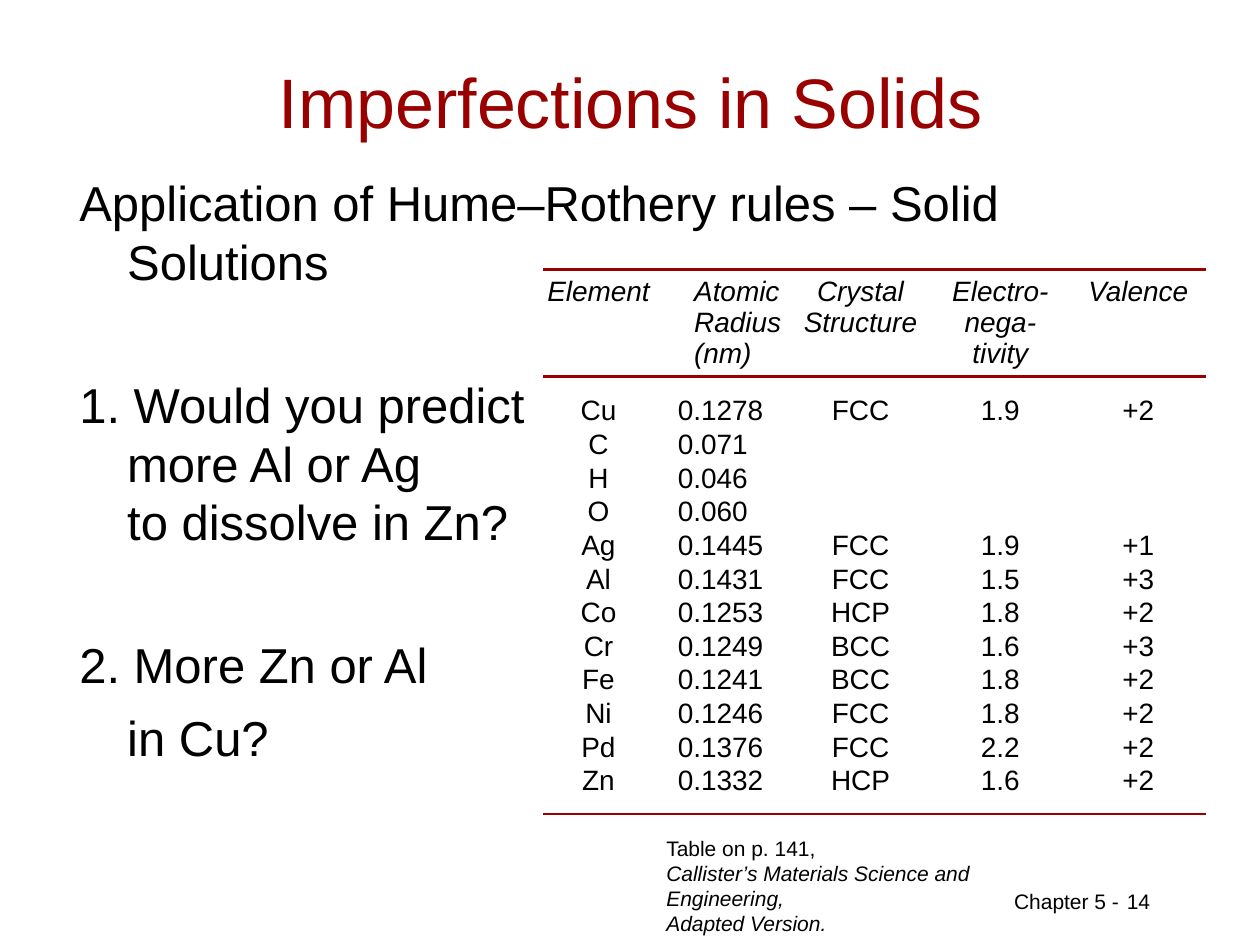
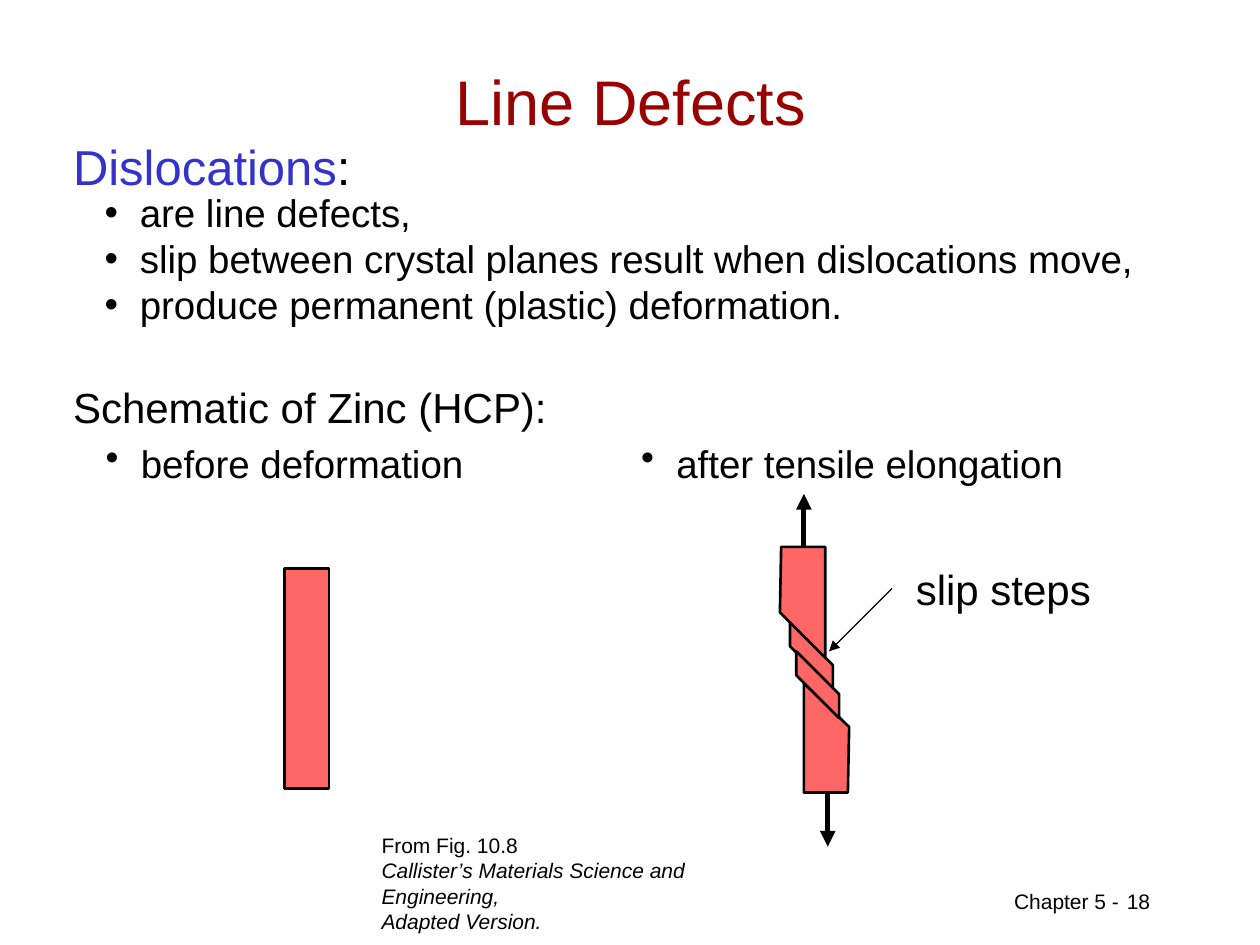
import pptx
import pptx.util
import pptx.dml.color
import pptx.enum.shapes
import pptx.enum.text
import pptx.oxml.ns
from lxml import etree

Pt = pptx.util.Pt
Align = pptx.enum.text.PP_ALIGN
Anchor = pptx.enum.text.MSO_ANCHOR
qn = pptx.oxml.ns.qn
FONT = "Arial"
HUES = {"ink": "000000", "red": "990000", "blue": "3333CC", "zinc": "FF6666"}
TINT = {name: pptx.dml.color.RGBColor.from_string(hue) for name, hue in HUES.items()}

deck = pptx.Presentation()
deck.slide_width = pptx.util.Inches(10)
deck.slide_height = pptx.util.Inches(7.5)
# The slide is a grid of 100 columns by 75 rows of square cells.
cell = deck.slide_width // 100


def write(shape, spot, text, size, hue="ink", inset=(1, 0.5), dot=False, align=Align.LEFT):
    """Place a shape on the grid, fill it with text and return its paragraphs."""
    shape.left, shape.top, shape.width, shape.height = [round(n * cell) for n in spot]
    frame = shape.text_frame
    frame.auto_size = pptx.enum.text.MSO_AUTO_SIZE.NONE
    frame.word_wrap = True
    frame.margin_left = frame.margin_right = round(inset[0] * cell)
    frame.margin_top = frame.margin_bottom = round(inset[1] * cell)
    frame.text = text
    for para in frame.paragraphs:
        para.alignment = align
        para.space_before = Pt(0)
        props = para._p.get_or_add_pPr()
        hang = round(2.8 * cell) if dot else 0
        props.set("marL", str(hang))
        props.set("indent", str(-hang))
        if dot:
            etree.SubElement(props, qn("a:buChar"), char="•")
        else:
            etree.SubElement(props, qn("a:buNone"))
        para.font.name, para.font.size = FONT, Pt(size)
        para.font.color.rgb = TINT[hue]
    return frame.paragraphs


def rule(page, ends, hue, width, arrow=False):
    """Draw a straight line between two grid points."""
    line = page.shapes.add_connector(
        pptx.enum.shapes.MSO_CONNECTOR.STRAIGHT, *[round(n * cell) for n in ends])
    line.line.color.rgb = TINT[hue]
    line.line.width = Pt(width)
    props = line._element.spPr
    if arrow:
        etree.SubElement(props.find(qn("a:ln")), qn("a:tailEnd"), type="triangle")
    etree.SubElement(props, qn("a:effectLst"))


# Parts that both slides share
pages = []
for title, size, number, source, spot in [
    ("Imperfections in Solids", 40, "14", "Table on p. 141,", (51.9, 65.8, 32, 9)),
    ("Line Defects", 36, "18", "From Fig. 10.8", (29.3, 65.6, 32, 9)),
]:
    page = deck.slides.add_slide(deck.slide_layouts[1])
    pages.append(page)
    write(page.shapes.title, (4.2, 4.2, 91.7, 7.5), title, size, "red", align=Align.CENTER)
    write(page.shapes.add_textbox(0, 0, 0, 0), (79.5, 70, 10.5, 3), "Chapter 5 -", 12)
    write(page.shapes.add_textbox(0, 0, 0, 0), (83.9, 70, 12.9, 3.9), number, 12,
          align=Align.CENTER)
    note = source + "\nCallister’s Materials Science and Engineering,\nAdapted Version."
    for para in write(page.shapes.add_textbox(0, 0, 0, 0), spot, note, 12)[1:]:
        para.font.italic = True

solids, lines = pages

# Slide 1: questions
asks = write(
    solids.placeholders[1], (5.3, 13.2, 87.3, 53.5),
    "Application of Hume–Rothery rules – Solid Solutions\n"
    "1. Would you predict\vmore Al or Ag\vto dissolve in Zn?\n"
    "2. More Zn or Al\nin Cu?", 28)
for para, gap, hang in zip(asks, (0, 48, 48, 8), (3.8, 3.8, 3.8, 0)):
    para.space_before = Pt(gap)
    props = para._p.get_or_add_pPr()
    props.set("marL", str(round(3.8 * cell)))
    props.set("indent", str(-round(hang * cell)))

# Slide 1: table of elements
rows = [
    ("Element", "Atomic\vRadius\v(nm)", "Crystal\vStructure", "Electro-\vnega-\vtivity", "Valence"),
    ("Cu", "0.1278", "FCC", "1.9", "+2"),
    ("C", "0.071", "", "", ""),
    ("H", "0.046", "", "", ""),
    ("O", "0.060", "", "", ""),
    ("Ag", "0.1445", "FCC", "1.9", "+1"),
    ("Al", "0.1431", "FCC", "1.5", "+3"),
    ("Co", "0.1253", "HCP", "1.8", "+2"),
    ("Cr", "0.1249", "BCC", "1.6", "+3"),
    ("Fe", "0.1241", "BCC", "1.8", "+2"),
    ("Ni", "0.1246", "FCC", "1.8", "+2"),
    ("Pd", "0.1376", "FCC", "2.2", "+2"),
    ("Zn", "0.1332", "HCP", "1.6", "+2"),
]
wide = (8.8, 10.9, 11, 11.2, 10.7)
left, top, head, step = 43.1, 21.4, 9.9, 2.67
grid = solids.shapes.add_table(
    len(rows), len(wide), round(left * cell), round(top * cell),
    round(sum(wide) * cell), round((head + step * 12) * cell)).table
grid.first_row = grid.horz_banding = False
for col, width in zip(grid.columns, wide):
    col.width = round(width * cell)
for i, row in enumerate(rows):
    grid.rows[i].height = round((step if i else head) * cell)
    for j, text in enumerate(row):
        box = grid.cell(i, j)
        box.fill.background()
        box.margin_left = box.margin_right = box.margin_top = box.margin_bottom = 0
        box.vertical_anchor = Anchor.MIDDLE
        if i == 0:
            box.margin_top = cell // 2
            box.vertical_anchor = Anchor.TOP
        if j == 1:
            box.margin_left = round((1.9 if i else 3.2) * cell)
        box.text = text
        para = box.text_frame.paragraphs[0]
        para.alignment = Align.LEFT if j == 1 else Align.CENTER
        para.font.name, para.font.size = FONT, Pt(16)
        para.font.italic = i == 0
        para.font.color.rgb = TINT["ink"]
for y in (top, 29.9, 64.6):
    rule(solids, (left, y, 95.7, y), "red", 1.5)

# Slide 2: text
write(lines.placeholders[1], (8.3, 15, 85.8, 11.5),
      "are line defects,\n"
      "slip between crystal planes result when dislocations move,\n"
      "produce permanent (plastic) deformation.", 22, inset=(0, 0), dot=True)
lead = write(lines.shapes.add_textbox(0, 0, 0, 0), (5.8, 10.8, 40, 4.7),
             "Dislocations", 28, inset=(0, 0))[0]
lead.runs[0].font.color.rgb = TINT["blue"]
lead.add_run().text = ":"
write(lines.shapes.add_textbox(0, 0, 0, 0), (5.8, 30.3, 50.8, 4),
      "Schematic of Zinc (HCP):", 24, inset=(0, 0))
for x, text in ((7.4, "before deformation"), (49.9, "after tensile elongation")):
    write(lines.shapes.add_textbox(0, 0, 0, 0), (x, 34.4, 40, 4.7), text, 22, dot=True)
write(lines.shapes.add_textbox(0, 0, 0, 0), (71.7, 44.2, 18, 5), "slip steps", 24)

# Slide 2: zinc bar before and after the pull
for shape in [
    [(22.6, 45.1), (22.6, 62.6), (26.1, 62.6), (26.1, 45.1)],
    [(62.7, 49.3), (62.7, 51.3), (66.1, 54.7), (66.1, 52.8)],
    [(67.3, 62.9), (63.8, 62.9), (63.8, 54.2), (67.4, 57.7)],
    [(62, 43.4), (65.5, 43.4), (65.5, 52.2), (61.9, 48.6)],
    [(63.2, 51.7), (63.2, 53.6), (66.6, 57), (66.6, 55.1)],
]:
    dots = [(x * cell, y * cell) for x, y in shape]
    pen = lines.shapes.build_freeform(*dots[0])
    pen.add_line_segments(dots[1:], close=True)
    part = pen.convert_to_shape()
    part.shadow.inherit = False
    part.fill.solid()
    part.fill.fore_color.rgb = TINT["zinc"]
    part.line.color.rgb = TINT["ink"]
    part.line.width = Pt(1.5)
for ends, width in (
    ((65.7, 62.8, 65.7, 67.2), 3),
    ((63.8, 43.5, 63.8, 39.2), 3),
    ((70.8, 46.7, 65.8, 51.7), 0.75),
):
    rule(lines, ends, "ink", width, arrow=True)

deck.save("out.pptx")
